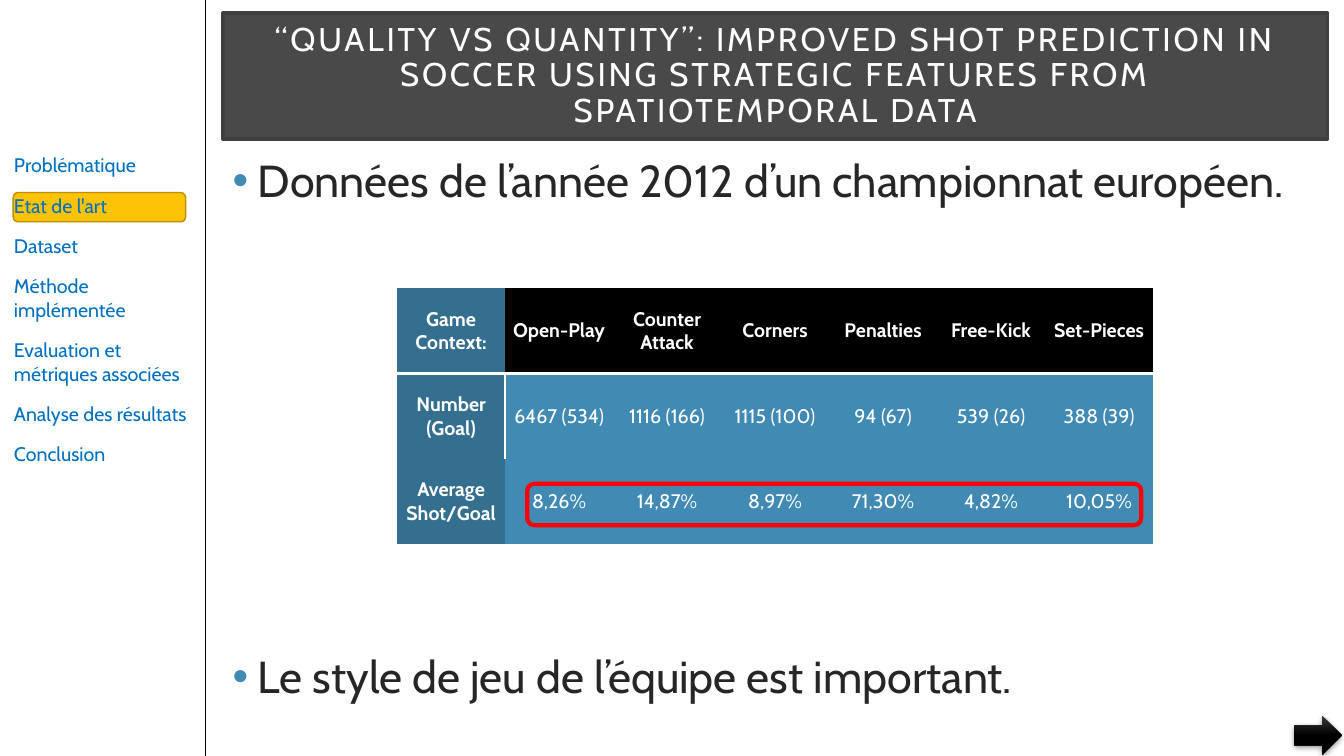
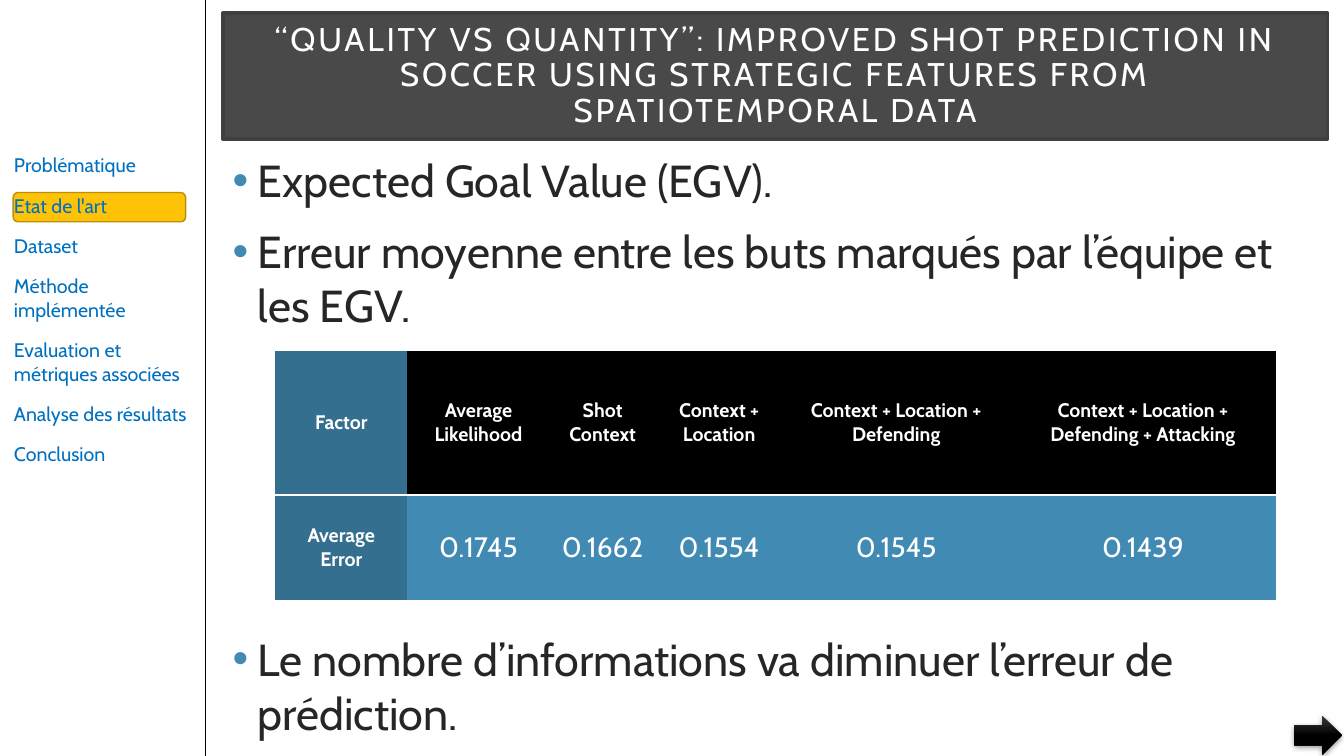
import pptx
import pptx.dml.color
import pptx.enum.shapes
import pptx.enum.text
import pptx.oxml
import pptx.oxml.ns
import pptx.util

Pt = pptx.util.Pt
SHAPE = pptx.enum.shapes.MSO_SHAPE
ALIGN = pptx.enum.text.PP_ALIGN
ANCHOR = pptx.enum.text.MSO_ANCHOR
WIDTH, HEIGHT = pptx.util.Inches(13.333), pptx.util.Inches(7.5)

FONT = "Cabin"
BLACK, WHITE, RED = "000000", "FFFFFF", "FF0000"
INK, LINK, GOLD, GOLD_EDGE = "262626", "0070C0", "FEC306", "BC9004"
BAND, BAND_EDGE = "0D0D0D", "404040"
BLUE, DARK_BLUE = "418AB3", "346F8F"
BODY_LINE = 50.6
PLAIN_TABLE = "{2D5ABB26-0587-4C30-8999-92F81FD0307C}"

TITLE = ("“QUALITY VS QUANTITY”: IMPROVED SHOT PREDICTION IN SOCCER "
         "USING STRATEGIC FEATURES FROM SPATIOTEMPORAL DATA")
SECTIONS = ["Problématique", "Etat de l'art", "Dataset", "Méthode implémentée",
            "Evaluation et métriques associées", "Analyse des résultats",
            "Conclusion"]
CONTEXT_ROWS = [
    ["Game Context:", "Open-Play", "Counter Attack", "Corners", "Penalties",
     "Free-Kick", "Set-Pieces"],
    ["Number (Goal)", "6467 (534)", "1116 (166)", "1115 (100)", "94 (67)",
     "539 (26)", "388 (39)"],
    ["Average Shot/Goal", "8,26%", "14,87%", "8,97%", "71,30%", "4,82%",
     "10,05%"],
]
ERROR_ROWS = [
    ["Factor", "Average\nLikelihood", "Shot\nContext", "Context +\nLocation",
     "Context + Location +\nDefending",
     "Context + Location +\nDefending + Attacking"],
    ["Average\nError", "0.1745", "0.1662", "0.1554", "0.1545", "0.1439"],
]


def rgb(color):
    """Turn a hex string into a colour."""
    return pptx.dml.color.RGBColor.from_string(color)


def box(left, top, width, height):
    """Turn percentages of the slide into a position and a size."""
    return [round(share * side / 100) for share, side in
            zip((left, top, width, height), (WIDTH, HEIGHT) * 2)]


def add_xml(parent, tag, **attrs):
    """Append a DrawingML element and return it."""
    child = pptx.oxml.parse_xml(f"<a:{tag} {pptx.oxml.ns.nsdecls('a')}/>")
    for name, value in attrs.items():
        child.set(name, str(value))
    parent.append(child)
    return child


def write(p, text, size=14, color=WHITE, bold=False, align=None,
          before=0, after=0, leading=None, tracking=None):
    """Write formatted text into a paragraph, with breaks at newlines."""
    p.alignment, p.line_spacing = align, leading
    p.space_before, p.space_after = Pt(before), Pt(after)
    for i, line in enumerate(text.split("\n")):
        if i:
            p.add_line_break()
        r = p.add_run()
        r.text = line
        r.font.name, r.font.size, r.font.bold = FONT, Pt(size), bold
        r.font.color.rgb = rgb(color)
        if tracking:
            r.font._element.set("spc", str(tracking * 100))


def paint(shape, fill=None, line=None, width=1):
    """Set fill and outline, and take the shadow away."""
    shape.shadow.inherit = False
    if fill:
        shape.fill.solid()
        shape.fill.fore_color.rgb = rgb(fill)
    else:
        shape.fill.background()
    if line:
        shape.line.color.rgb = rgb(line)
        shape.line.width = Pt(width)
    else:
        shape.line.fill.background()


def add_paragraphs(s, place, count):
    """Add a wrapped text box and return its paragraphs."""
    tf = s.shapes.add_textbox(*box(*place)).text_frame
    tf.word_wrap = True
    for _ in range(count - 1):
        tf.add_paragraph()
    return tf.paragraphs


def add_sidebar(s):
    """Add the section list with the current section marked."""
    marker = s.shapes.add_shape(SHAPE.ROUNDED_RECTANGLE,
                                *box(0.98, 25.47, 12.83, 3.87))
    paint(marker, GOLD, GOLD_EDGE)
    x = box(15.3, 0, 0, 0)[0]
    rule = s.shapes.add_connector(pptx.enum.shapes.MSO_CONNECTOR.STRAIGHT,
                                  x, 0, x, HEIGHT)
    rule.line.color.rgb, rule.line.width = rgb(BLACK), Pt(1)
    add_xml(rule._element.spPr, "effectLst")
    paragraphs = add_paragraphs(s, (0.3, 19.6, 14.48, 43.07), len(SECTIONS))
    for p, section in zip(paragraphs, SECTIONS):
        write(p, section, color=LINK, before=6, after=6)


def add_title(s):
    """Place and format the title band."""
    title = s.shapes.title
    title.left, title.top, title.width, title.height = box(16.58, 1.73, 82.2, 16.67)
    paint(title, BAND, BAND_EDGE, 2.5)
    color = title._element.spPr.find(".//" + pptx.oxml.ns.qn("a:srgbClr"))
    add_xml(color, "alpha", val=75000)
    tf = title.text_frame
    tf.auto_size, tf.word_wrap = pptx.enum.text.MSO_AUTO_SIZE.NONE, True
    tf.vertical_anchor = ANCHOR.MIDDLE
    tf.margin_left = tf.margin_right = pptx.util.Inches(0.2)
    tf.margin_top = tf.margin_bottom = pptx.util.Inches(0.2)
    write(tf.paragraphs[0], TITLE, size=23.4, align=ALIGN.CENTER,
          leading=0.9, tracking=2)


def add_next_arrow(s):
    """Add the glossy arrow in the bottom corner."""
    arrow = s.shapes.add_shape(SHAPE.RIGHT_ARROW, *box(96.3, 94.67, 3.53, 5.2))
    paint(arrow)
    arrow.fill.gradient()
    arrow.fill.gradient_angle = 270
    for stop, color, position in zip(arrow.fill.gradient_stops,
                                     ("393939", BLACK), (0, 0.5)):
        stop.color.rgb, stop.position = rgb(color), position
    effects = arrow._element.spPr.find(pptx.oxml.ns.qn("a:effectLst"))
    shadow = add_xml(effects, "outerShdw", blurRad=Pt(4.4), dist=Pt(1.2),
                     dir=90 * 60000, rotWithShape=0)
    add_xml(add_xml(shadow, "srgbClr", val=BLACK), "alpha", val=45000)


def add_bullets(s, bullets):
    """Add bullets, each given as text and the lines left free above it."""
    paragraphs = add_paragraphs(s, (16.58, 19.6, 82.2, 78.8), len(bullets))
    for p, (text, free_lines) in zip(paragraphs, bullets):
        write(p, text, size=32, color=INK, after=6,
              before=6 + free_lines * BODY_LINE)
        pPr = p._p.get_or_add_pPr()
        indent = pptx.util.Inches(0.25)
        pPr.set("marL", str(indent))
        pPr.set("indent", str(-indent))
        add_xml(add_xml(pPr, "buClr"), "srgbClr", val=BLUE)
        add_xml(pPr, "buFont", typeface="Arial")
        add_xml(pPr, "buChar", char="•")


def add_border(cell, side):
    """Draw a white border on one side of a cell."""
    tcPr = cell._tc.get_or_add_tcPr()
    line = add_xml(tcPr, "ln" + side, w=Pt(2))
    add_xml(add_xml(line, "solidFill"), "srgbClr", val=WHITE)
    tcPr.insert(0, line)


def add_data_table(s, place, rows, col_shares, row_shares, value_size=14,
                   margin=None):
    """Add a table with a black header row and a dark first column."""
    left, top, width, height = box(*place)
    table = s.shapes.add_table(len(rows), len(rows[0]), left, top,
                               width, height).table
    table.first_row = table.horz_banding = False
    style = table._tbl.tblPr.find(pptx.oxml.ns.qn("a:tableStyleId"))
    style.text = PLAIN_TABLE
    for col, share in zip(table.columns, col_shares):
        col.width = round(width * share / sum(col_shares))
    for row, share in zip(table.rows, row_shares):
        row.height = round(height * share / sum(row_shares))
    for i, row in enumerate(rows):
        for j, text in enumerate(row):
            cell = table.cell(i, j)
            cell.vertical_anchor = ANCHOR.MIDDLE
            if margin is not None:
                cell.margin_left = cell.margin_right = margin
                cell.margin_top = cell.margin_bottom = margin
            cell.fill.solid()
            fill = DARK_BLUE if j == 0 else BLACK if i == 0 else BLUE
            cell.fill.fore_color.rgb = rgb(fill)
            heading = i == 0 or j == 0
            write(cell.text_frame.paragraphs[0], text, bold=heading,
                  size=14 if heading else value_size, align=ALIGN.CENTER)
            if i == 0:
                add_border(cell, "B")
    return table


def add_slide(prs, bullets):
    """Add a slide with the shared frame and its bullets."""
    s = prs.slides.add_slide(prs.slide_layouts[5])
    add_sidebar(s)
    add_title(s)
    add_bullets(s, bullets)
    add_next_arrow(s)
    return s


def main():
    """Build and save the presentation."""
    prs = pptx.Presentation()
    prs.slide_width, prs.slide_height = WIDTH, HEIGHT

    s = add_slide(prs, [
        ("Données de l’année 2012 d’un championnat européen.", 0),
        ("Le style de jeu de l’équipe est important.", 6)])
    table = add_data_table(s, (29.55, 38.13, 56.25, 33.87), CONTEXT_ROWS,
                           [1] * 7, [1] * 3, margin=pptx.util.Inches(0.01))
    add_border(table.cell(1, 0), "R")
    frame = s.shapes.add_shape(SHAPE.ROUNDED_RECTANGLE,
                               *box(39.23, 64, 45.68, 5.47))
    paint(frame, line=RED, width=3)

    s = add_slide(prs, [
        ("Expected Goal Value (EGV).", 0),
        ("Erreur moyenne entre les buts marqués par l’équipe et les EGV.", 0),
        ("Le nombre d’informations va diminuer l’erreur de prédiction.", 4)])
    add_data_table(s, (20.48, 46.4, 74.48, 32.93), ERROR_ROWS,
                   [1.31, 1.41, 1.05, 1.26, 2.25, 2.64], [1.43, 1.04],
                   value_size=20)
    prs.save("out.pptx")


if __name__ == "__main__":
    main()
